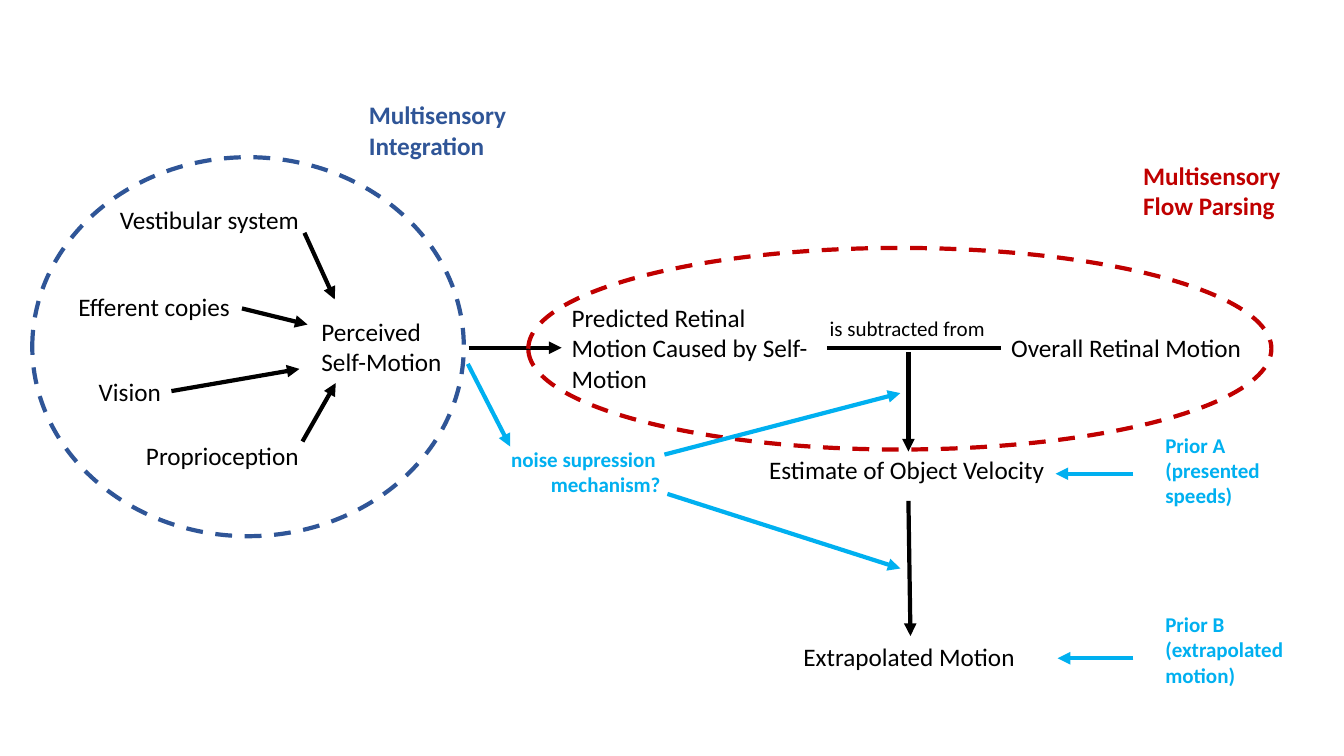
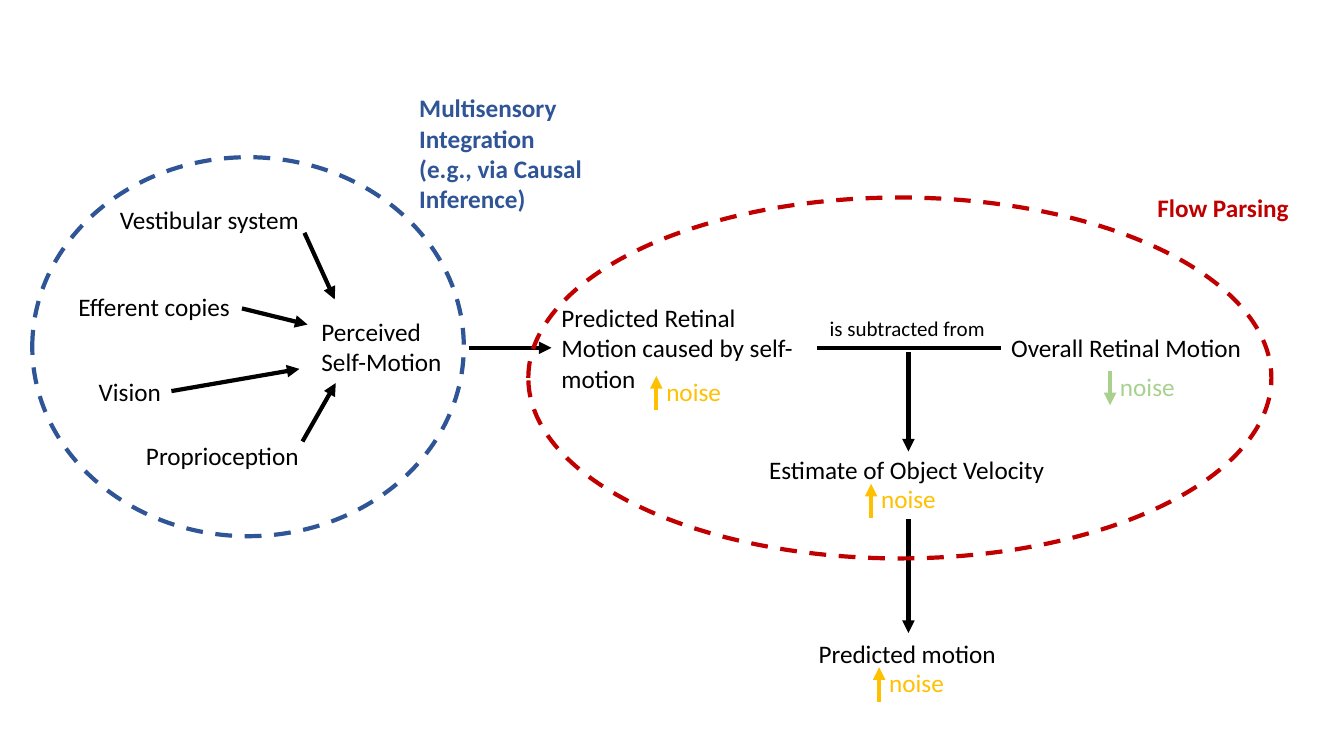
"""Build two slides on how self-motion shapes the perception of object motion."""
import pptx
import pptx.dml.color
import pptx.enum.dml
import pptx.enum.shapes
import pptx.enum.text
import pptx.oxml
import pptx.oxml.ns
import pptx.util

BLACK = pptx.dml.color.RGBColor(0x00, 0x00, 0x00)
BLUE = pptx.dml.color.RGBColor(0x2F, 0x55, 0x97)
RED = pptx.dml.color.RGBColor(0xC0, 0x00, 0x00)
CYAN = pptx.dml.color.RGBColor(0x00, 0xB0, 0xF0)
AMBER = pptx.dml.color.RGBColor(0xFF, 0xC0, 0x00)
GREEN = pptx.dml.color.RGBColor(0xA9, 0xD1, 0x8E)

WIDTH, HEIGHT = pptx.util.Inches(13.33), pptx.util.Inches(7.5)
COLUMN, ROW = WIDTH / 133.3, HEIGHT / 75
LINE_WIDTH = pptx.util.Pt(3)
LARGE, SMALL = pptx.util.Pt(18), pptx.util.Pt(15)
LEFT = pptx.enum.text.PP_ALIGN.LEFT
RIGHT = pptx.enum.text.PP_ALIGN.RIGHT

SHARED_LABELS = [
    ("Vestibular system", (10.9, 19.8, 20, 4)),
    ("Efferent copies", (6.8, 28.4, 17.3, 4)),
    ("Vision", (8.8, 36.8, 8.3, 4)),
    ("Proprioception", (13.5, 43.2, 17.3, 4)),
    ("Overall Retinal Motion", (99.3, 32.5, 25.1, 4)),
    ("Estimate of Object Velocity", (75.3, 44.6, 29.6, 4)),
]
SHARED_ARROWS = [
    ((30.2, 23.1), (33.2, 29.7)),
    ((24, 30.6), (30.5, 32.2)),
    ((17, 38.8), (29.7, 36.6)),
    ((30, 43.8), (33.3, 38)),
    ((90.1, 34.9), (90.1, 44.8)),
]
PRIORS = [
    ("Prior A (presented speeds)", 42.4, 47, 104.7),
    ("Prior B (extrapolated motion)", 60.2, 65.3, 104.9),
]
NOISE_ARROWS = [
    ((46.4, 36.1), (50.6, 44.3)),
    ((66.2, 49), (89.3, 56.4)),
    ((65.9, 45.1), (89.3, 39)),
]
NOISE_TAGS = [
    (65.1, 36.8, AMBER, True),
    (110.1, 36.3, GREEN, False),
    (86.4, 47.5, AMBER, True),
    (87.2, 65.7, AMBER, True),
]


def set_format(target, values):
    """Set every named attribute of the target."""
    for name, value in values.items():
        setattr(target, name, value)


def place(column, row, columns, rows):
    """Turn a grid area into slide lengths."""
    return (round(column * COLUMN), round(row * ROW),
            round(columns * COLUMN), round(rows * ROW))


def add_label(page, text, area, color=BLACK, size=LARGE, bold=False,
              wrap=False, alignment=LEFT):
    """Add a text box with one paragraph per line of text."""
    box = page.shapes.add_textbox(*place(*area))
    frame = box.text_frame
    set_format(frame, {
        "text": text,
        "word_wrap": wrap,
        "auto_size": pptx.enum.text.MSO_AUTO_SIZE.SHAPE_TO_FIT_TEXT,
    })
    for para in frame.paragraphs:
        para.alignment = alignment
        for span in para.runs:
            set_format(span.font, {"name": "Calibri", "size": size, "bold": bold})
            span.font.color.rgb = color


def add_line(page, start, end, color=BLACK, arrow=True):
    """Join two grid points, with an arrowhead at the end if wanted."""
    line = page.shapes.add_connector(
        pptx.enum.shapes.MSO_CONNECTOR.STRAIGHT,
        *place(*start, *end))
    line.line.width = LINE_WIDTH
    line.line.color.rgb = color
    if arrow:
        head = pptx.oxml.parse_xml(
            f'<a:tailEnd {pptx.oxml.ns.nsdecls("a")} type="triangle"/>')
        line.line._get_or_add_ln().append(head)
    effects = pptx.oxml.parse_xml(f'<a:effectLst {pptx.oxml.ns.nsdecls("a")}/>')
    line._element.spPr.append(effects)


def add_ring(page, area, color):
    """Add a dashed, unfilled ellipse around a stage."""
    ring = page.shapes.add_shape(pptx.enum.shapes.MSO_SHAPE.OVAL, *place(*area))
    ring.shadow.inherit = False
    ring.fill.background()
    set_format(ring.line, {
        "width": LINE_WIDTH,
        "dash_style": pptx.enum.dml.MSO_LINE.DASH,
    })
    ring.line.color.rgb = color


def add_noise(page, column, row, color, rising):
    """Add the word noise with an arrow for its rise or fall."""
    add_label(page, "noise", (column, row, 7.5, 4), color)
    ends = [(column, row + 0.5), (column, row + 3.9)]
    add_line(page, *(reversed(ends) if rising else ends), color)


def add_diagram(page, prediction, split, outcome, outcome_area, final_arrow, flow_ring):
    """Add the stages, arrows and rings that both slides share."""
    for text, area in SHARED_LABELS:
        add_label(page, text, area)
    add_label(page, "Perceived Self-Motion", (30.9, 30.9, 15.6, 7.1), wrap=True)
    add_label(page, "is subtracted from", (81.3, 30.8, 17.6, 3.5), size=SMALL)
    add_label(page, prediction, (split, 29.5, 26.2, 10.1), wrap=True)
    add_label(page, outcome, outcome_area)
    for start, end in SHARED_ARROWS + [final_arrow]:
        add_line(page, start, end)
    add_line(page, (46.5, 34.5), (split, 34.5))
    add_line(page, (split + 26.3, 34.5), (99.3, 34.5), arrow=False)
    add_ring(page, flow_ring, RED)
    add_ring(page, (3.2, 15.6, 42.8, 37.6), BLUE)


def add_priors_slide(deck):
    """Add the slide with priors and noise suppression."""
    page = deck.slides.add_slide(deck.slide_layouts[6])
    add_diagram(page, "Predicted Retinal Motion Caused by Self-Motion", 55.7,
                "Extrapolated Motion", (78.7, 63.1, 23.2, 4),
                ((90.1, 49.7), (90.3, 63.1)), (52.4, 24.6, 73.7, 20))
    add_label(page, "Multisensory \nIntegration", (35.6, 9.4, 18.3, 7.1),
              BLUE, bold=True, wrap=True)
    add_label(page, "Multisensory\nFlow Parsing", (112.4, 15.4, 15.7, 7.1),
              RED, bold=True)
    for text, top, level, tip in PRIORS:
        add_label(page, text, (114.6, top, 16.6, 8.6), CYAN, SMALL, True, True)
        add_line(page, (112.4, level), (tip, level), CYAN)
    add_label(page, "noise supression \nmechanism?", (49.6, 43.8, 16.9, 6.1),
              CYAN, SMALL, True, alignment=RIGHT)
    for start, end in NOISE_ARROWS:
        add_line(page, start, end, CYAN)


def add_noise_slide(deck):
    """Add the slide that marks where noise rises and falls."""
    page = deck.slides.add_slide(deck.slide_layouts[6])
    add_diagram(page, "Predicted Retinal Motion caused by self-motion", 54.7,
                "Predicted motion", (80.2, 62.8, 19.8, 4),
                ((90.1, 51.5), (90.1, 62.8)), (52.4, 19.6, 73.7, 35.8))
    add_label(page, "Multisensory \nIntegration (e.g., via Causal Inference)",
              (40.6, 8.7, 18.3, 13.1), BLUE, bold=True, wrap=True)
    add_label(page, "Flow Parsing", (113.8, 18.6, 15.2, 4), RED, bold=True)
    for tag in NOISE_TAGS:
        add_noise(page, *tag)


def main():
    """Build and save the deck."""
    deck = pptx.Presentation()
    set_format(deck, {"slide_width": WIDTH, "slide_height": HEIGHT})
    add_priors_slide(deck)
    add_noise_slide(deck)
    deck.save("out.pptx")


main()
